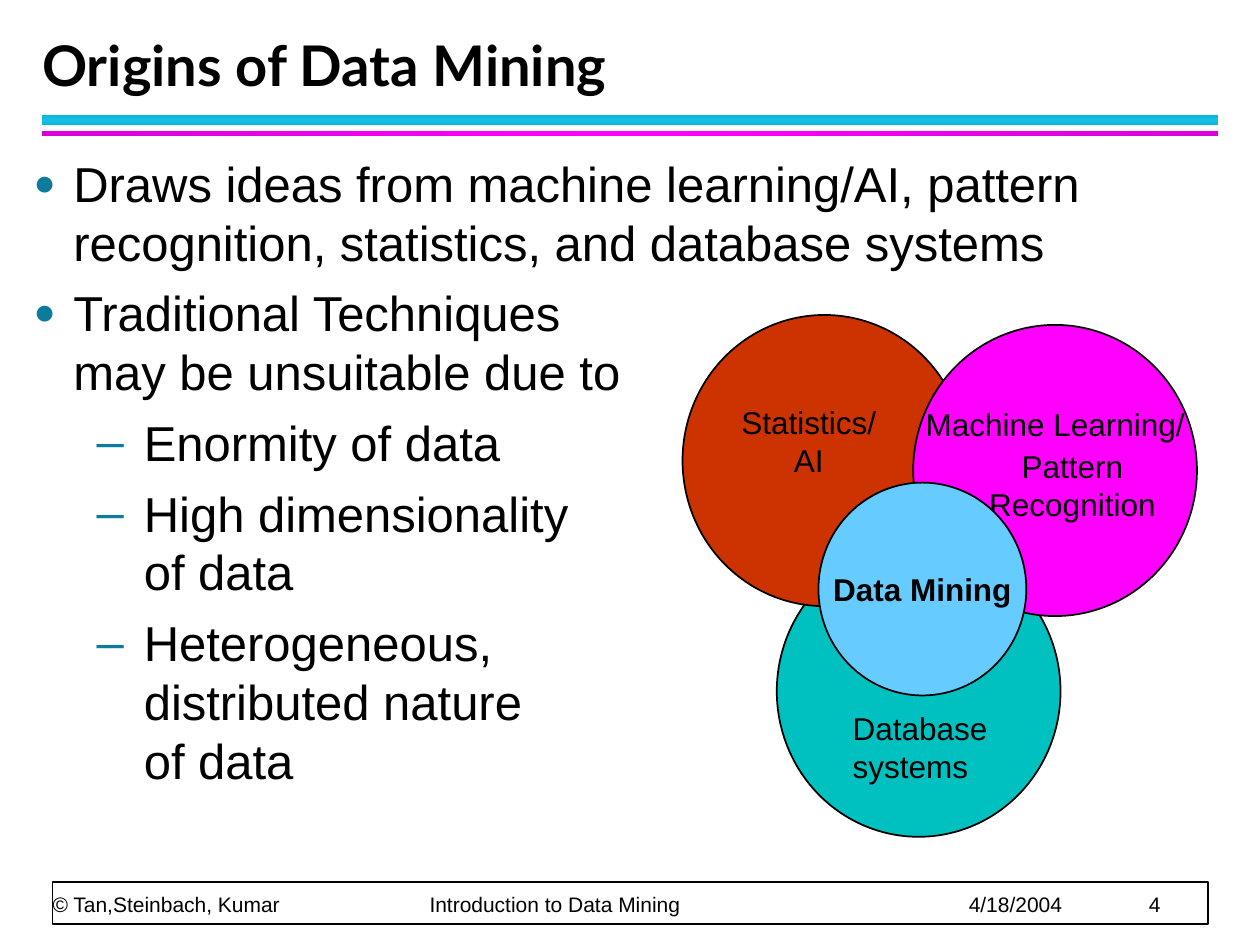
from copy import deepcopy
from dataclasses import dataclass

from lxml.etree import SubElement
from pptx import Presentation
from pptx.dml.color import RGBColor
from pptx.enum.shapes import MSO_SHAPE
from pptx.enum.text import MSO_ANCHOR, PP_ALIGN
from pptx.oxml.ns import qn
from pptx.util import Cm, Pt


@dataclass(frozen=True)
class Theme:
    heading_font: str = "Lato"
    body_font: str = "Arial"
    title_size: int = 32
    body_size: int = 28
    label_size: int = 18
    footer_size: int = 12
    text: str = "000000"
    paper: str = "FFFFFF"
    bullet: str = "0C7B9C"
    cyan_bar: tuple = ("10B0D3", "12C2E9")
    magenta_bar: tuple = ("DA00DA", "FF00FF")
    statistics: str = "CC3300"
    learning: str = "FF00FF"
    database: str = "00C0C0"
    mining: str = "66CCFF"


@dataclass(frozen=True)
class Box:
    """A rectangle in centimetres."""
    left: float
    top: float
    width: float
    height: float

    def inner(self, left, top, width, height):
        return Box(self.left + left, self.top + top, width, height)

    def lengths(self):
        return [Cm(value) for value in (self.left, self.top, self.width, self.height)]


THEME = Theme()


def add_filled_shape(slide, preset, box, color):
    shape = slide.shapes.add_shape(preset, *box.lengths())
    shape.shadow.inherit = False
    shape.fill.solid()
    shape.fill.fore_color.rgb = RGBColor.from_string(color)
    shape.line.color.rgb = RGBColor.from_string(THEME.text)
    shape.line.width = Pt(1)
    return shape


def add_gradient_bar(slide, box, colors, angle):
    """Draw a borderless bar shaded edge, middle, edge."""
    shape = add_filled_shape(slide, MSO_SHAPE.RECTANGLE, box, colors[0])
    shape.line.fill.background()
    shape.fill.gradient()
    shape.fill.gradient_angle = angle
    for stop, color, position in zip(shape.fill.gradient_stops, colors, (0, 0.5)):
        stop.color.rgb = RGBColor.from_string(color)
        stop.position = position
    stop_list = shape._element.spPr.find(".//" + qn("a:gsLst"))
    last_stop = deepcopy(stop_list[0])
    last_stop.set("pos", "100000")
    stop_list.append(last_stop)


def add_text_frame(slide, box, side_inset=0.25, end_inset=0.13):
    text_frame = slide.shapes.add_textbox(*box.lengths()).text_frame
    text_frame.word_wrap = True
    text_frame.margin_left = text_frame.margin_right = Cm(side_inset)
    text_frame.margin_top = text_frame.margin_bottom = Cm(end_inset)
    return text_frame


def write(paragraph, text, size, font=THEME.body_font, bold=False, alignment=PP_ALIGN.LEFT):
    paragraph.text = text
    paragraph.alignment = alignment
    for run in paragraph.runs:
        run.font.name = font
        run.font.size = Pt(size)
        run.font.bold = bold
        run.font.color.rgb = RGBColor.from_string(THEME.text)


def set_bullet(paragraph, character, indent, hanging, percent):
    properties = paragraph._p.get_or_add_pPr()
    properties.set("marL", str(Cm(indent)))
    properties.set("indent", str(-Cm(hanging)))
    color = SubElement(properties, qn("a:buClr"))
    SubElement(color, qn("a:srgbClr"), val=THEME.bullet)
    SubElement(properties, qn("a:buSzPct"), val=str(percent * 1000))
    SubElement(properties, qn("a:buFont"), typeface=THEME.body_font)
    SubElement(properties, qn("a:buChar"), char=character)


def add_header(slide, box):
    text_frame = add_text_frame(slide, box.inner(0, 0, 23.01, 1.47), side_inset=0)
    text_frame.vertical_anchor = MSO_ANCHOR.BOTTOM
    paragraph = text_frame.paragraphs[0]
    write(paragraph, "Origins of Data Mining", THEME.title_size, THEME.heading_font, bold=True)
    paragraph.line_spacing = Pt(36)
    add_gradient_bar(slide, box.inner(0, 1.69, box.width, 0.21), THEME.cyan_bar, 90)
    add_gradient_bar(slide, box.inner(0, 2.01, box.width, 0.1), THEME.magenta_bar, 0)


def add_bullets(slide, box, items):
    text_frame = add_text_frame(slide, box)
    for index, (level, text) in enumerate(items):
        paragraph = text_frame.add_paragraph() if index else text_frame.paragraphs[0]
        write(paragraph, text, THEME.body_size)
        paragraph.level = level
        paragraph.space_before = Pt(2.8)
        paragraph.space_after = Pt(4)
        if level:
            set_bullet(paragraph, "–", indent=2.22, hanging=0.95, percent=100)
        else:
            set_bullet(paragraph, "●", indent=0.8, hanging=0.8, percent=75)


def add_label(slide, box, lines, alignment=PP_ALIGN.CENTER, side_inset=0.25):
    text_frame = add_text_frame(slide, box, side_inset)
    for index, line in enumerate(lines):
        paragraph = text_frame.add_paragraph() if index else text_frame.paragraphs[0]
        write(paragraph, line, THEME.label_size, alignment=alignment)
        if index:
            paragraph.space_before = Pt(2.7)
    return text_frame


def add_overlapping_fields(slide, box):
    """Draw three fields that overlap, with data mining where they meet."""
    for left, top, color in ((1.9, 4.65, THEME.database),
                             (0, 0, THEME.statistics),
                             (4.65, 0.2, THEME.learning)):
        add_filled_shape(slide, MSO_SHAPE.OVAL, box.inner(left, top, 5.72, 5.87), color)

    learning = add_label(slide, box.inner(4.9, 1.68, 5.92, 2.67),
                         ["Machine Learning/", "Pattern\nRecognition"], side_inset=0)
    learning.paragraphs[0].alignment = PP_ALIGN.LEFT
    add_label(slide, box.inner(0.64, 1.65, 3.81, 1.78), ["Statistics/\nAI"])

    mining = add_filled_shape(slide, MSO_SHAPE.OVAL, box.inner(2.74, 3.38, 4.19, 4.29),
                              THEME.mining)
    mining.text_frame.word_wrap = False
    mining.text_frame.vertical_anchor = MSO_ANCHOR.MIDDLE
    write(mining.text_frame.paragraphs[0], "Data Mining", THEME.label_size,
          bold=True, alignment=PP_ALIGN.CENTER)
    add_label(slide, box.inner(3.18, 7.82, 4.01, 1.78), ["Database systems"], PP_ALIGN.LEFT)


def add_footer(slide, box, parts, tab_positions):
    add_filled_shape(slide, MSO_SHAPE.RECTANGLE, box, THEME.paper)
    text_frame = add_text_frame(slide, box.inner(0, 0, box.width, 0.71), 0, 0)
    text_frame.vertical_anchor = MSO_ANCHOR.BOTTOM
    paragraph = text_frame.paragraphs[0]
    write(paragraph, "\t".join(parts), THEME.footer_size)
    paragraph.line_spacing = Pt(20)
    tabs = SubElement(paragraph._p.get_or_add_pPr(), qn("a:tabLst"))
    for position in tab_positions:
        SubElement(tabs, qn("a:tab"), pos=str(Cm(position)), algn="l")


def main():
    presentation = Presentation()
    presentation.slide_width = Cm(25.4)
    presentation.slide_height = Cm(19.05)
    slide = presentation.slides.add_slide(presentation.slide_layouts[6])

    add_footer(slide, Box(1.06, 17.78, 23.29, 0.85),
               ["© Tan,Steinbach, Kumar", "Introduction to Data Mining", "4/18/2004", "4"],
               tab_positions=(7.6, 18.47, 22.1))
    add_header(slide, Box(0.85, 0.63, 23.71, 2.11))
    add_bullets(slide, Box(0.43, 2.96, 24.55, 15.24), [
        (0, "Draws ideas from machine learning/AI, pattern recognition, "
            "statistics, and database systems"),
        (0, "Traditional Techniques\nmay be unsuitable due to"),
        (1, "Enormity of data"),
        (1, "High dimensionality\nof data"),
        (1, "Heterogeneous,\ndistributed nature\nof data"),
    ])
    add_overlapping_fields(slide, Box(13.76, 6.35, 10.82, 10.52))
    presentation.save("out.pptx")


if __name__ == "__main__":
    main()
